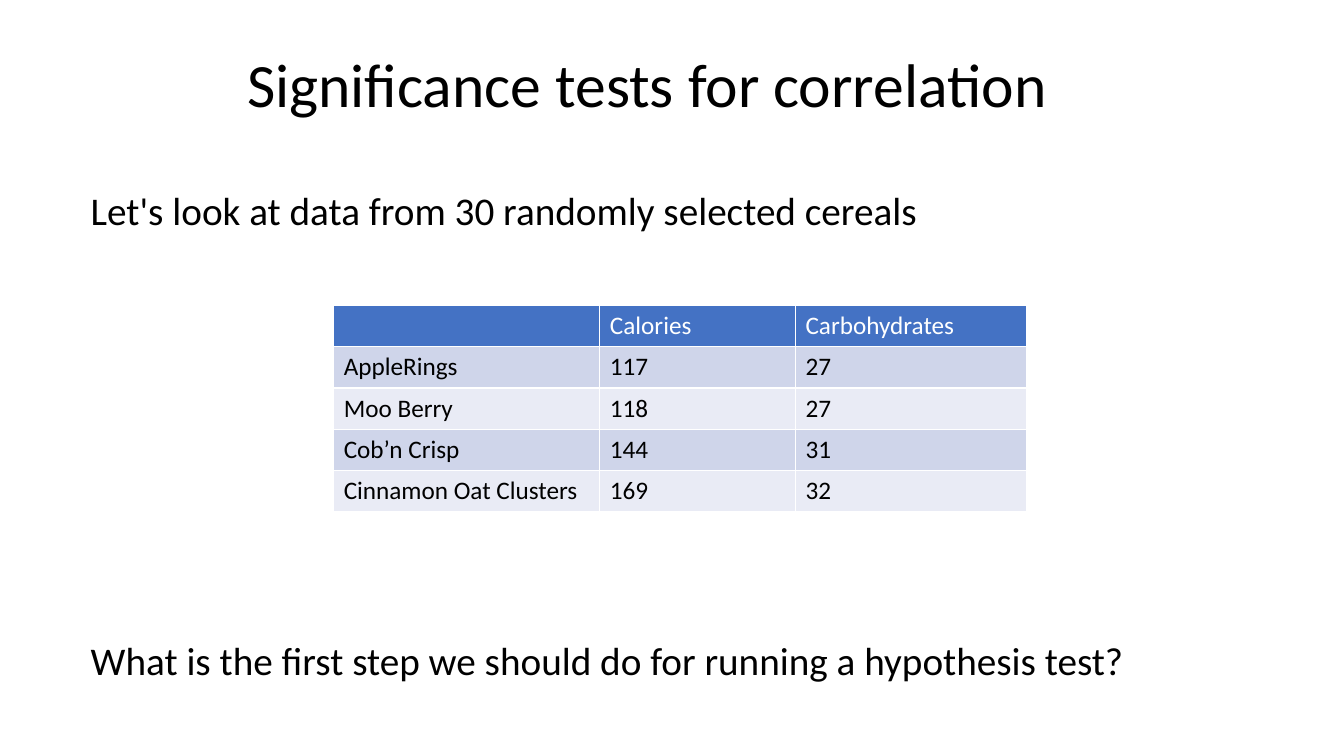
import pptx
import pptx.dml.color
import pptx.enum.text
import pptx.util
from lxml import etree

TITLE = "Significance tests for correlation"
STATEMENTS = [
    "Let's look at data from 30 randomly selected cereals",
    "What is the first step we should do for running a hypothesis test?",
]
CEREALS = [
    ("", "Calories", "Carbohydrates"),
    ("AppleRings", "117", "27"),
    ("Moo Berry", "118", "27"),
    ("Cob’n Crisp", "144", "31"),
    ("Cinnamon Oat Clusters", "169", "32"),
]

FONT = "Calibri"
BLACK = pptx.dml.color.RGBColor(0x00, 0x00, 0x00)
WHITE = pptx.dml.color.RGBColor(0xFF, 0xFF, 0xFF)
HEADER_BLUE = pptx.dml.color.RGBColor(0x44, 0x72, 0xC4)
BANDS = [
    pptx.dml.color.RGBColor(0xE9, 0xEB, 0xF5),
    pptx.dml.color.RGBColor(0xCF, 0xD5, 0xEA),
]

SLIDE_SIZE = (13.33, 7.5)
TITLE_BOX = (2.35, 0.4, 8.62, 0.94)
BODY_BOX = (0.8, 1.85, 11.69, 5.42)
TABLE_CORNER = (3.31, 3.03)
COLUMN_WIDTHS = (2.64, 1.94, 2.29)
ROW_HEIGHT = 0.41
TABLE_GAP = 291.5  # points between the statements, leaving room for the table


def inches(lengths):
    return [pptx.util.Inches(length) for length in lengths]


def write(paragraph, text, *, size, color=BLACK, line_spacing=1.0, space_before=0):
    paragraph.text = text
    paragraph.alignment = pptx.enum.text.PP_ALIGN.LEFT
    paragraph.line_spacing = line_spacing
    paragraph.space_before = pptx.util.Pt(space_before)
    paragraph.font.name = FONT
    paragraph.font.size = pptx.util.Pt(size)
    paragraph.font.bold = False
    paragraph.font.color.rgb = color


def place(placeholder, box, anchor):
    placeholder.left, placeholder.top, placeholder.width, placeholder.height = inches(box)
    frame = placeholder.text_frame
    frame.word_wrap = True
    frame.auto_size = pptx.enum.text.MSO_AUTO_SIZE.NONE
    frame.vertical_anchor = anchor
    return frame


def remove_bullet(paragraph):
    properties = paragraph._p.get_or_add_pPr()
    properties.set("marL", "0")
    properties.set("indent", "0")
    etree.SubElement(properties, pptx.oxml.ns.qn("a:buNone"))


def add_cereal_table(slide):
    size = (sum(COLUMN_WIDTHS), ROW_HEIGHT * len(CEREALS))
    table = slide.shapes.add_table(
        len(CEREALS), len(COLUMN_WIDTHS), *inches(TABLE_CORNER + size)
    ).table
    for column, width in zip(table.columns, COLUMN_WIDTHS):
        column.width = pptx.util.Inches(width)
    for row_number, values in enumerate(CEREALS):
        table.rows[row_number].height = pptx.util.Inches(ROW_HEIGHT)
        is_header = row_number == 0
        for column_number, value in enumerate(values):
            cell = table.cell(row_number, column_number)
            cell.fill.solid()
            cell.fill.fore_color.rgb = HEADER_BLUE if is_header else BANDS[row_number % 2]
            write(cell.text_frame.paragraphs[0], value, size=18,
                  color=WHITE if is_header else BLACK)


def main():
    presentation = pptx.Presentation()
    presentation.slide_width, presentation.slide_height = inches(SLIDE_SIZE)
    slide = presentation.slides.add_slide(presentation.slide_layouts[1])

    title = place(slide.shapes.title, TITLE_BOX, pptx.enum.text.MSO_ANCHOR.MIDDLE)
    write(title.paragraphs[0], TITLE, size=44, line_spacing=0.9)

    body = place(slide.placeholders[1], BODY_BOX, pptx.enum.text.MSO_ANCHOR.TOP)
    for number, statement in enumerate(STATEMENTS):
        paragraph = body.add_paragraph() if number else body.paragraphs[0]
        remove_bullet(paragraph)
        write(paragraph, statement, size=28, line_spacing=0.9,
              space_before=TABLE_GAP * number)

    add_cereal_table(slide)
    presentation.save("out.pptx")


if __name__ == "__main__":
    main()
